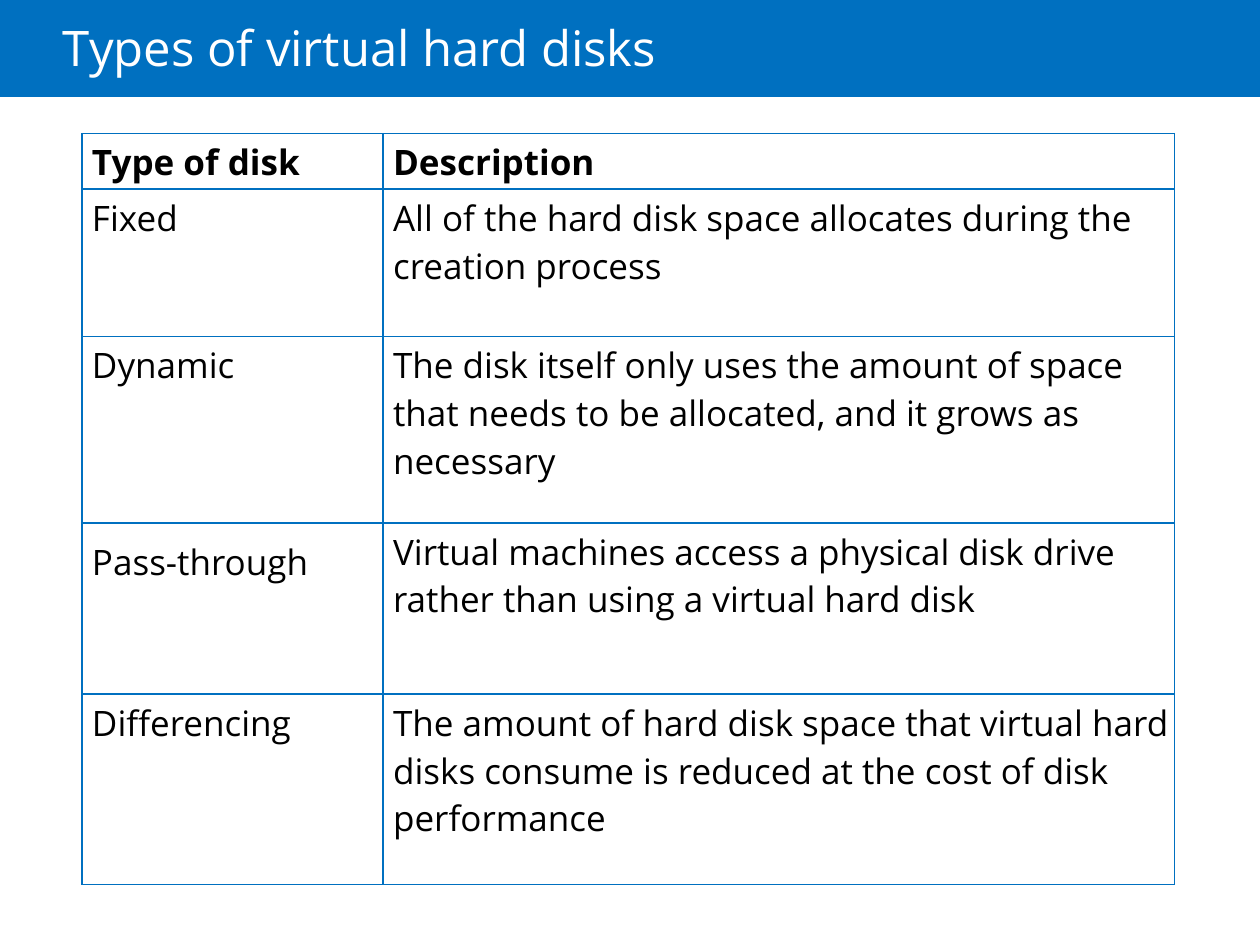
from dataclasses import dataclass

from lxml.etree import SubElement
from pptx import Presentation
from pptx.dml.color import RGBColor
from pptx.enum.shapes import MSO_SHAPE
from pptx.enum.text import MSO_ANCHOR
from pptx.oxml.ns import qn
from pptx.slide import Slide
from pptx.table import _Cell
from pptx.text.text import _Paragraph
from pptx.util import Inches, Pt


@dataclass(frozen=True)
class Theme:
    font: str = "Open Sans"
    blue: str = "0070C0"
    white: str = "FFFFFF"
    black: str = "000000"
    title_size: int = 28
    body_size: int = 20
    border_width: int = 1


@dataclass(frozen=True)
class DiskRow:
    kind: str
    description: str
    height: float
    kind_top: float = 0.04
    bold: bool = False


THEME = Theme()
COLUMNS = (2.39, 6.28)
DISK_ROWS = (
    DiskRow("Type of disk", "Description", 0.44, bold=True),
    DiskRow("Fixed", "All of the hard disk space allocates during the creation process", 1.17),
    DiskRow(
        "Dynamic",
        "The disk itself only uses the amount of space that needs to be allocated, "
        "and it grows as necessary",
        1.48,
    ),
    DiskRow(
        "Pass-through",
        "Virtual machines access a physical disk drive rather than using a virtual hard disk",
        1.36,
        kind_top=0.12,
    ),
    DiskRow(
        "Differencing",
        "The amount of hard disk space that virtual hard disks consume is reduced "
        "at the cost of disk performance",
        1.51,
    ),
)


def style_text(paragraph: _Paragraph, size: int, color: str, bold: bool = False) -> None:
    font = paragraph.font
    font.name = THEME.font
    font.size = Pt(size)
    font.bold = bold
    font.color.rgb = RGBColor.from_string(color)


def draw_header(slide: Slide, text: str) -> None:
    band = slide.shapes.add_shape(MSO_SHAPE.RECTANGLE, 0, 0, Inches(10), Inches(0.77))
    band.shadow.inherit = False
    band.fill.solid()
    band.fill.fore_color.rgb = RGBColor.from_string(THEME.blue)
    band.line.fill.background()

    title = slide.shapes.add_textbox(Inches(0.5), 0, Inches(8.5), Inches(0.81))
    frame = title.text_frame
    frame.word_wrap = True
    frame.vertical_anchor = MSO_ANCHOR.MIDDLE
    frame.margin_left = 0
    paragraph = frame.paragraphs[0]
    paragraph.text = text
    paragraph.line_spacing = 0.85
    style_text(paragraph, THEME.title_size, THEME.white)


def draw_borders(cell: _Cell) -> None:
    properties = cell._tc.get_or_add_tcPr()
    for position, side in enumerate(("a:lnL", "a:lnR", "a:lnT", "a:lnB")):
        border = SubElement(properties, qn(side), w=str(Pt(THEME.border_width)))
        properties.insert(position, border)
        SubElement(SubElement(border, qn("a:solidFill")), qn("a:srgbClr"), val=THEME.blue)


def fill_cell(cell: _Cell, text: str, top: float, bold: bool) -> None:
    cell.fill.background()
    cell.margin_left = cell.margin_right = Inches(0.04)
    cell.margin_top, cell.margin_bottom = Inches(top), Inches(0.02)
    draw_borders(cell)
    paragraph = cell.text_frame.paragraphs[0]
    paragraph.text = text
    paragraph.space_before, paragraph.space_after = Pt(6), Pt(3)
    indents = paragraph._p.get_or_add_pPr()
    indents.set("marL", str(Inches(0.04)))
    indents.set("indent", "0")
    style_text(paragraph, THEME.body_size, THEME.black, bold)


def draw_disk_table(slide: Slide, left: float, top: float) -> None:
    height = sum(row.height for row in DISK_ROWS)
    disks = slide.shapes.add_table(
        len(DISK_ROWS), len(COLUMNS),
        Inches(left), Inches(top), Inches(sum(COLUMNS)), Inches(height),
    ).table
    disks.first_row = disks.horz_banding = False
    for column, width in zip(disks.columns, COLUMNS):
        column.width = Inches(width)
    for index, row in enumerate(DISK_ROWS):
        disks.rows[index].height = Inches(row.height)
        fill_cell(disks.cell(index, 0), row.kind, row.kind_top, row.bold)
        fill_cell(disks.cell(index, 1), row.description, 0.04, row.bold)


def main() -> None:
    deck = Presentation()
    deck.slide_width, deck.slide_height = Inches(10), Inches(7.5)
    slide = deck.slides.add_slide(deck.slide_layouts[6])
    draw_header(slide, "Types of virtual hard disks")
    draw_disk_table(slide, 0.65, 1.06)
    deck.save("out.pptx")


main()
